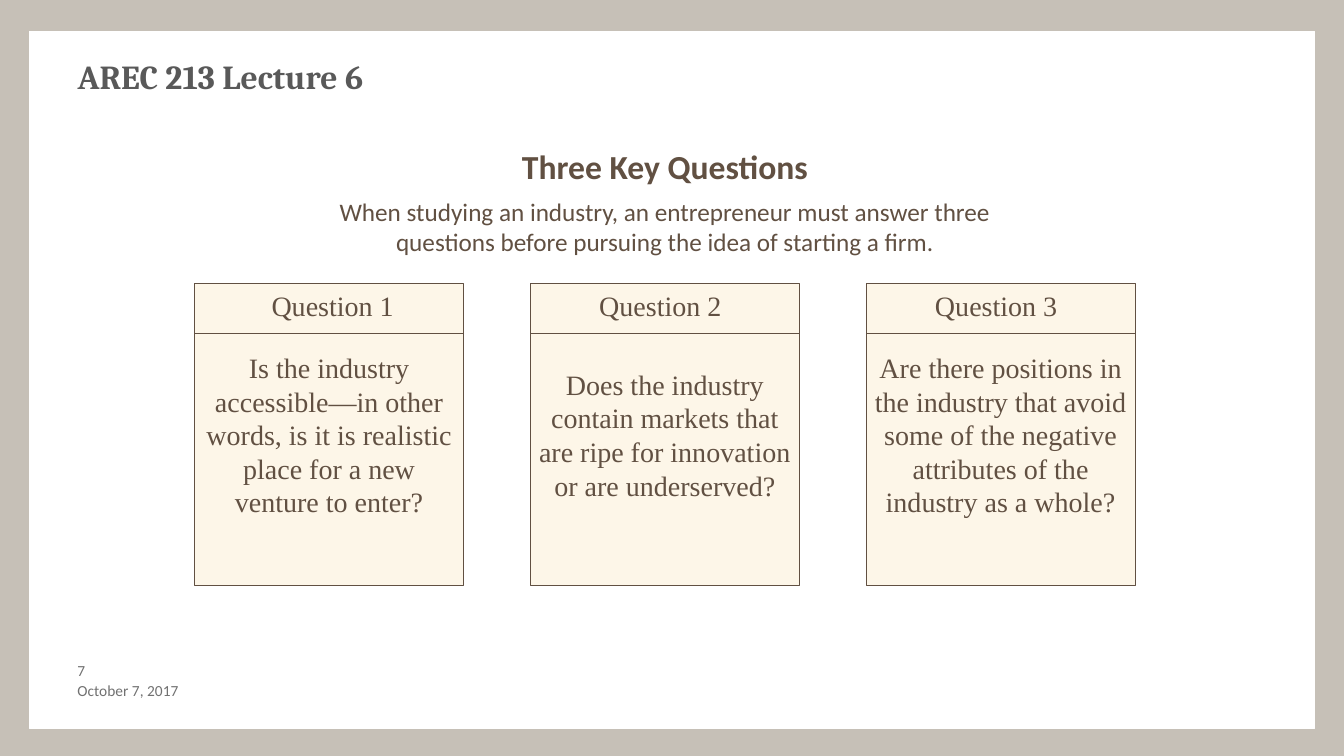
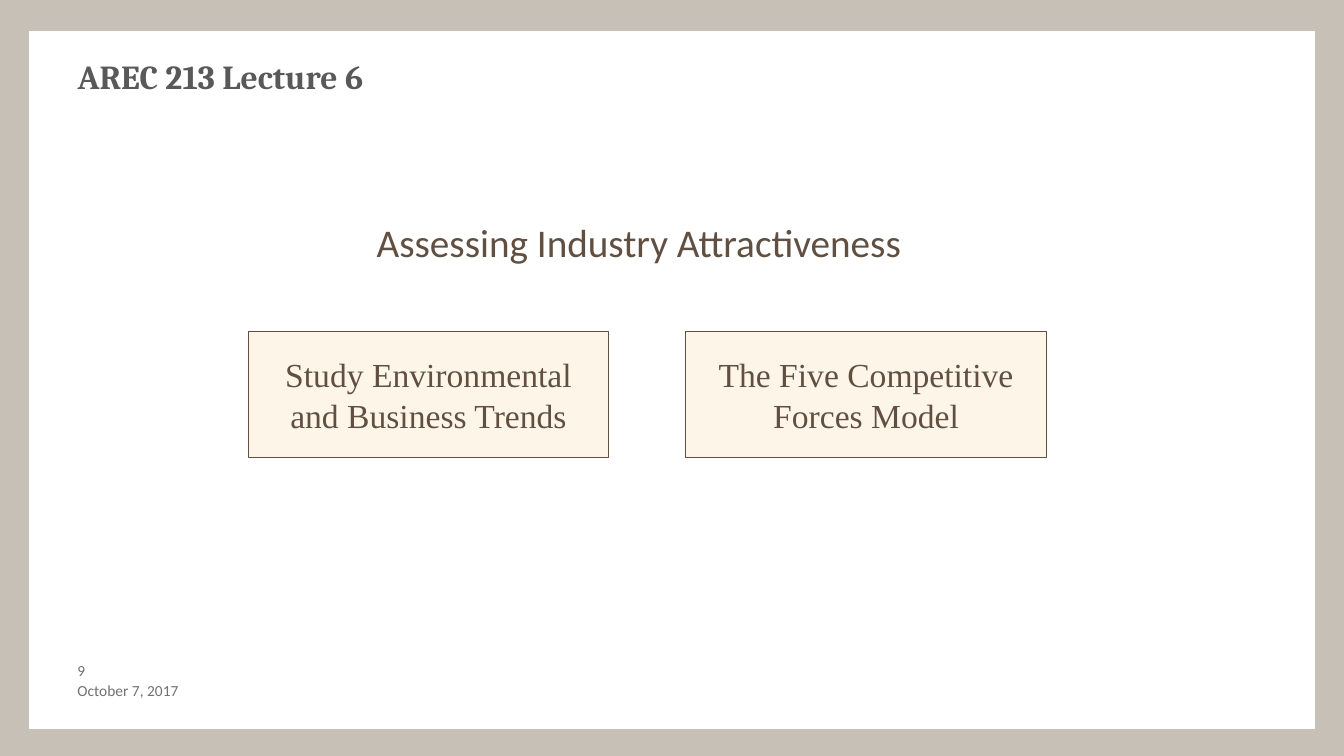
"""Build two lecture slides on industry analysis."""
from lxml import etree
from pptx import Presentation
from pptx.dml.color import RGBColor
from pptx.enum.shapes import MSO_CONNECTOR, MSO_SHAPE
from pptx.enum.text import MSO_ANCHOR, PP_ALIGN
from pptx.oxml.ns import qn
from pptx.util import Inches, Pt

RECT = MSO_SHAPE.RECTANGLE
STRAIGHT = MSO_CONNECTOR.STRAIGHT
TOP, MIDDLE = MSO_ANCHOR.TOP, MSO_ANCHOR.MIDDLE
LEFT, CENTER = PP_ALIGN.LEFT, PP_ALIGN.CENTER

FRAME, WHITE, CREAM = "C6C0B7", "FFFFFF", "FDF6E8"
BROWN, TITLE_GREY, FOOTER_GREY = "615042", "595959", "717171"
SERIF, SANS, TITLE_FONT = "Times New Roman", "Calibri", "Cambria"


def set_text(sp, text, size, font=SANS, color=BROWN, bold=False,
             align=CENTER, anchor=TOP, wrap=True):
    tf = sp.text_frame
    tf.text = text
    tf.word_wrap = wrap
    tf.vertical_anchor = anchor
    for p in tf.paragraphs:
        p.alignment = align
        for r in p.runs:
            r.font.size = Pt(size)
            r.font.name = font
            r.font.bold = bold
            r.font.color.rgb = RGBColor.from_string(color)


def add_box(s, x, y, w, h, fill, line):
    sp = s.shapes.add_shape(RECT, Inches(x), Inches(y), Inches(w), Inches(h))
    sp.shadow.inherit = False
    sp.fill.solid()
    sp.fill.fore_color.rgb = RGBColor.from_string(fill)
    sp.line.color.rgb = RGBColor.from_string(line)
    sp.line.width = Pt(0.75)
    return sp


prs = Presentation()
prs.slide_width, prs.slide_height = Inches(13.33), Inches(7.5)
bg = prs.slide_master.background.fill
bg.solid()
bg.fore_color.rgb = RGBColor.from_string(FRAME)

layout = prs.slide_layouts[5]
title = layout.placeholders[0]
title.left, title.top = Inches(0.67), Inches(0.5)
title.width, title.height = Inches(12), Inches(0.75)

for number in ("7", "9"):
    s = prs.slides.add_slide(layout)
    panel = add_box(s, 0.29, 0.31, 12.75, 6.92, WHITE, WHITE)
    s.shapes._spTree.insert(2, panel._element)
    set_text(s.shapes.title, "AREC 213 Lecture 6", 24, TITLE_FONT,
             TITLE_GREY, bold=True, align=LEFT)
    for text, y, w in (("October 7, 2017", 6.75, 2.67), (number, 6.55, 0.53)):
        sp = s.shapes.add_textbox(Inches(0.67), Inches(y), Inches(w), Inches(0.2))
        sp.text_frame.margin_top = sp.text_frame.margin_bottom = 0
        set_text(sp, text, 11, color=FOOTER_GREY, align=LEFT, anchor=MIDDLE)

questions_slide, methods_slide = prs.slides

headings = [
    (questions_slide, "Three Key Questions", 5.06, 1.4, 3.07, 0.5, 24, True),
    (questions_slide, "When studying an industry, an entrepreneur must answer "
     "three questions before pursuing the idea of starting a firm.",
     3.26, 1.9, 6.67, 0.71, 18, False),
    (methods_slide, "Assessing Industry Attractiveness",
     3.46, 2.12, 5.75, 0.57, 28, False),
]
for s, text, x, y, w, h, size, bold in headings:
    sp = s.shapes.add_textbox(Inches(x), Inches(y), Inches(w), Inches(h))
    set_text(sp, text, size, bold=bold)

questions = [
    (0.08, "Is the industry\naccessible—in other\nwords, is it is realistic\n"
     "place for a new\nventure to enter?"),
    (0, "Does the industry\ncontain markets that\nare ripe for innovation\n"
     "or are underserved?"),
    (0, "Are there positions in\nthe industry that avoid\nsome of the negative\n"
     "attributes of the\nindustry as a whole?"),
]
card_y, card_w, header_h = 2.81, 2.67, 0.5
for i, (label_shift, text) in enumerate(questions):
    x = 1.93 + i * 3.33
    card = add_box(questions_slide, x, card_y, card_w, 3, CREAM, BROWN)
    set_text(card, text, 20, SERIF, anchor=MIDDLE, wrap=False)
    rule_y = Inches(card_y + header_h)
    rule = questions_slide.shapes.add_connector(
        STRAIGHT, Inches(x), rule_y, Inches(x + card_w), rule_y)
    rule.line.color.rgb = RGBColor.from_string(BROWN)
    rule.line.width = Pt(0.75)
    etree.SubElement(rule._element.spPr, qn("a:effectLst"))
    label = questions_slide.shapes.add_textbox(
        Inches(x + label_shift), Inches(card_y), Inches(2.58), Inches(0.44))
    set_text(label, f"Question {i + 1}", 20, SERIF)

methods = ["Study Environmental\nand Business Trends",
           "The Five Competitive\nForces Model"]
for i, text in enumerate(methods):
    sp = add_box(methods_slide, 2.46 + i * 4.34, 3.29, 3.58, 1.25, CREAM, BROWN)
    set_text(sp, text, 24, SERIF, anchor=MIDDLE, wrap=False)

prs.save("out.pptx")
